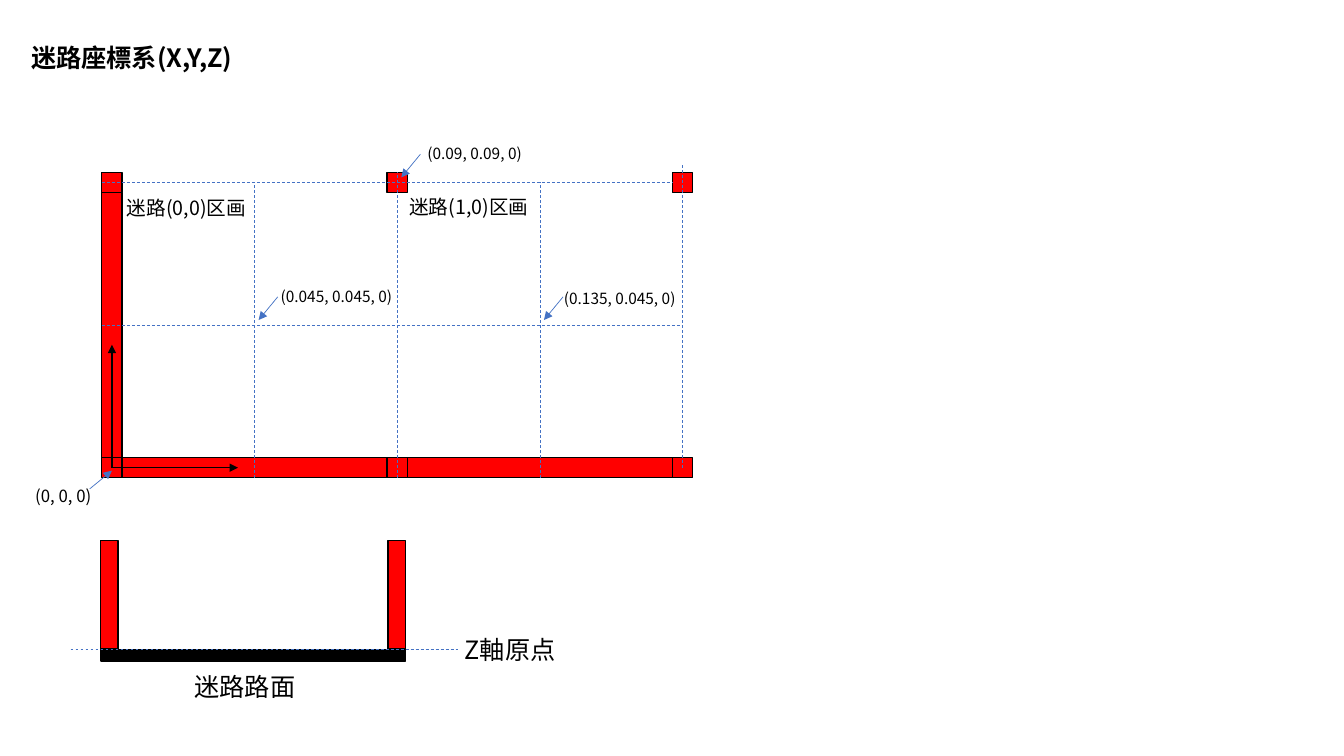
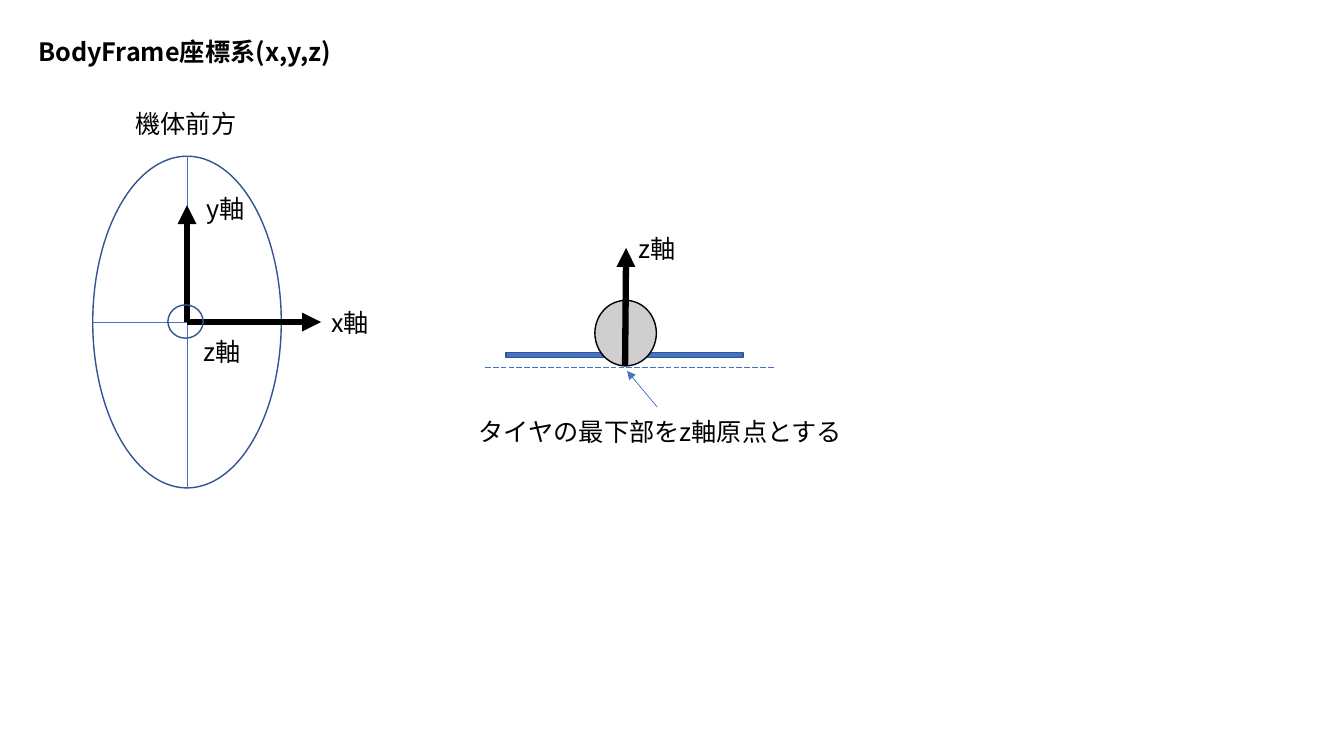
from pptx import Presentation
from pptx.dml.color import RGBColor
from pptx.enum.dml import MSO_LINE_DASH_STYLE as Dash
from pptx.enum.shapes import MSO_CONNECTOR as Connector, MSO_SHAPE as Shape
from pptx.oxml.ns import qn
from pptx.util import Inches, Pt
from lxml.etree import SubElement

FONT = "Noto Sans CJK JP"
COLORS = {
    "ink": "000000",
    "wall": "FF0000",
    "guide": "4472C4",
    "outline": "325491",
    "tire": "D0CECE",
}


def rgb(name):
    return RGBColor.from_string(COLORS[name])


def add_text(slide, text, left, top, width, height=0.4, size=18, bold=False):
    label = slide.shapes.add_textbox(
        Inches(left), Inches(top), Inches(width), Inches(height))
    label.text_frame.word_wrap = True
    run = label.text_frame.paragraphs[0].add_run()
    run.text = text
    run.font.name = FONT
    run.font.size = Pt(size)
    run.font.bold = bold
    run.font.color.rgb = rgb("ink")
    SubElement(run.font._element, qn("a:ea"), typeface=FONT)


def add_title(slide, text, left, top, width):
    add_text(slide, text, left, top, width, bold=True)


def add_part(slide, left, top, width, height, fill=None, line="ink",
             kind=Shape.RECTANGLE):
    part = slide.shapes.add_shape(
        kind, Inches(left), Inches(top), Inches(width), Inches(height))
    part.shadow.inherit = False
    if fill:
        part.fill.solid()
        part.fill.fore_color.rgb = rgb(fill)
    else:
        part.fill.background()
    part.line.color.rgb = rgb(line)
    part.line.width = Pt(1)


def add_line(slide, start, end, color="guide", weight=0.5, dash=None,
             arrow=False):
    stroke = slide.shapes.add_connector(
        Connector.STRAIGHT, *(Inches(value) for value in (*start, *end)))
    stroke.line.color.rgb = rgb(color)
    stroke.line.width = Pt(weight)
    if dash:
        stroke.line.dash_style = dash
    properties = stroke._element.spPr
    if arrow:
        SubElement(properties.find(qn("a:ln")), qn("a:tailEnd"), type="triangle")
    SubElement(properties, qn("a:effectLst"))


def add_axis(slide, start, end, weight=4.5):
    add_line(slide, start, end, "ink", weight, arrow=True)


def maze_plan(slide, left, top, pitch=2.83, post=0.2):
    """Two cells seen from above; left, top is the corner of the first post."""
    wall = pitch - post
    bottom = top + pitch
    center_x, center_y = left + post / 2, bottom + post / 2

    def point(column, row, dx=0, dy=0):
        return center_x + column * pitch + dx, center_y - row * pitch + dy

    # Walls and posts
    add_part(slide, left, top + post, post, wall, "wall")
    for column in range(2):
        add_part(slide, left + column * pitch + post, bottom, wall, post, "wall")
    for column in range(3):
        for post_top in (top, bottom):
            add_part(slide, left + column * pitch, post_top, post, post, "wall")

    # Axes from the origin
    add_axis(slide, point(0, 0), point(0, 0, dx=1.25), weight=1)
    add_axis(slide, point(0, 0), point(0, 0, dy=-1.22), weight=1)

    # Cell borders and centre lines
    half = post / 2
    guides = [
        (point(0, 0.5, dx=-half), point(2, 0.5)),
        (point(0, 1, dx=-half), point(2, 1, dx=-half)),
        (point(2, 0), point(2, 1, dy=-0.18)),
        (point(1, 0, dy=half), point(1, 1, dy=-half)),
    ]
    guides += [(point(column, 0, dy=half), point(column, 1))
               for column in (0.5, 1.5)]
    for start, end in guides:
        add_line(slide, start, end, dash=Dash.DASH)

    # Cell names
    for column in range(2):
        add_text(slide, f"迷路({column},0)区画", left + 0.15 + column * 2.8,
                 top + 0.18 - column * 0.01, 1.41, 0.34, size=14)

    # Coordinates with pointers
    for text, column, row, dx, dy, width in (
            ("(0.045, 0.045, 0)", 0.5, 0.5, 0.16, -0.43, 1.34),
            ("(0.135, 0.045, 0)", 1.5, 0.5, 0.14, -0.41, 1.34),
            ("(0.09, 0.09, 0)", 1, 1, 0.2, -0.43, 1.17)):
        add_text(slide, text, *point(column, row, dx, dy), width, 0.29, size=11)
        add_line(slide, point(column, row, 0.23, -0.28),
                 point(column, row, 0.04, -0.05), arrow=True)
    add_text(slide, "(0, 0, 0)", *point(0, 0, -0.86, 0.13), 0.79, 0.3, size=12)
    add_line(slide, point(0, 0, -0.22, 0.21), point(0, 0, 0, 0.03), arrow=True)


def maze_section(slide, left, top, width=3.02, wall=0.17, height=1.08):
    """One cell seen from the side."""
    floor = top + height
    add_part(slide, left, floor + 0.01, width, 0.11, "ink")
    for wall_left in (left, left + width - wall):
        add_part(slide, wall_left, top, wall, height, "wall")
    add_line(slide, (left - 0.3, floor), (left + width + 0.52, floor),
             dash=Dash.DASH)
    add_text(slide, "迷路路面", left + 0.83, floor + 0.17, 1.21)
    add_text(slide, "Z軸原点", left + 3.51, floor - 0.2, 1.12)


def body_plan(slide, left, top, width=1.87, height=3.29):
    """Body seen from above with the x, y and z axes."""
    center_x, center_y = left + width / 2, top + height / 2
    center = (center_x, center_y)
    add_part(slide, left, top, width, height, line="outline", kind=Shape.OVAL)
    add_line(slide, (left, center_y), (left + width, center_y))
    add_line(slide, (center_x, top), (center_x, top + height))
    add_axis(slide, center, (center_x + 1.33, center_y))
    add_axis(slide, center, (center_x, center_y - 1.16))
    add_part(slide, center_x - 0.19, center_y - 0.17, 0.35, 0.33,
             line="outline", kind=Shape.OVAL)
    for text, dx, dy, label_width in (
            ("x軸", 1.33, -0.2, 0.58), ("y軸", 0.09, -1.33, 0.58),
            ("z軸", 0.07, 0.09, 0.57), ("機体前方", -0.61, -2.17, 1.21)):
        add_text(slide, text, center_x + dx, center_y + dy, label_width)


def body_side(slide, left, top, width=2.88):
    """Tire and body plate; left, top is where the ground line starts."""
    tire_x = left + 1.39
    add_part(slide, left + 0.21, top - 0.14, 2.35, 0.05, "guide", "outline")
    add_part(slide, tire_x - 0.3, top - 0.66, 0.61, 0.65, "tire",
             kind=Shape.OVAL)
    add_axis(slide, (tire_x, top - 0.02), (tire_x + 0.01, top - 1.18))
    add_text(slide, "z軸", tire_x + 0.03, top - 1.37, 0.57)
    add_line(slide, (left, top), (left + width, top), dash=Dash.LONG_DASH)
    add_line(slide, (tire_x + 0.32, top + 0.4), (tire_x + 0.02, top + 0.04),
             arrow=True)
    add_text(slide, "タイヤの最下部をz軸原点とする", left - 0.16, top + 0.44, 3.85)


deck = Presentation()
deck.slide_width, deck.slide_height = Inches(13.33), Inches(7.5)
blank = deck.slide_layouts[6]

# Maze coordinates
maze = deck.slides.add_slide(blank)
add_title(maze, "迷路座標系(X,Y,Z)", 0.21, 0.37, 2.32)
maze_plan(maze, 1.01, 1.71)
maze_section(maze, 1, 5.36)

# Body coordinates
body = deck.slides.add_slide(blank)
add_title(body, "BodyFrame座標系(x,y,z)", 0.28, 0.31, 3.1)
body_plan(body, 0.92, 1.55)
body_side(body, 4.81, 3.64)

deck.save("out.pptx")
